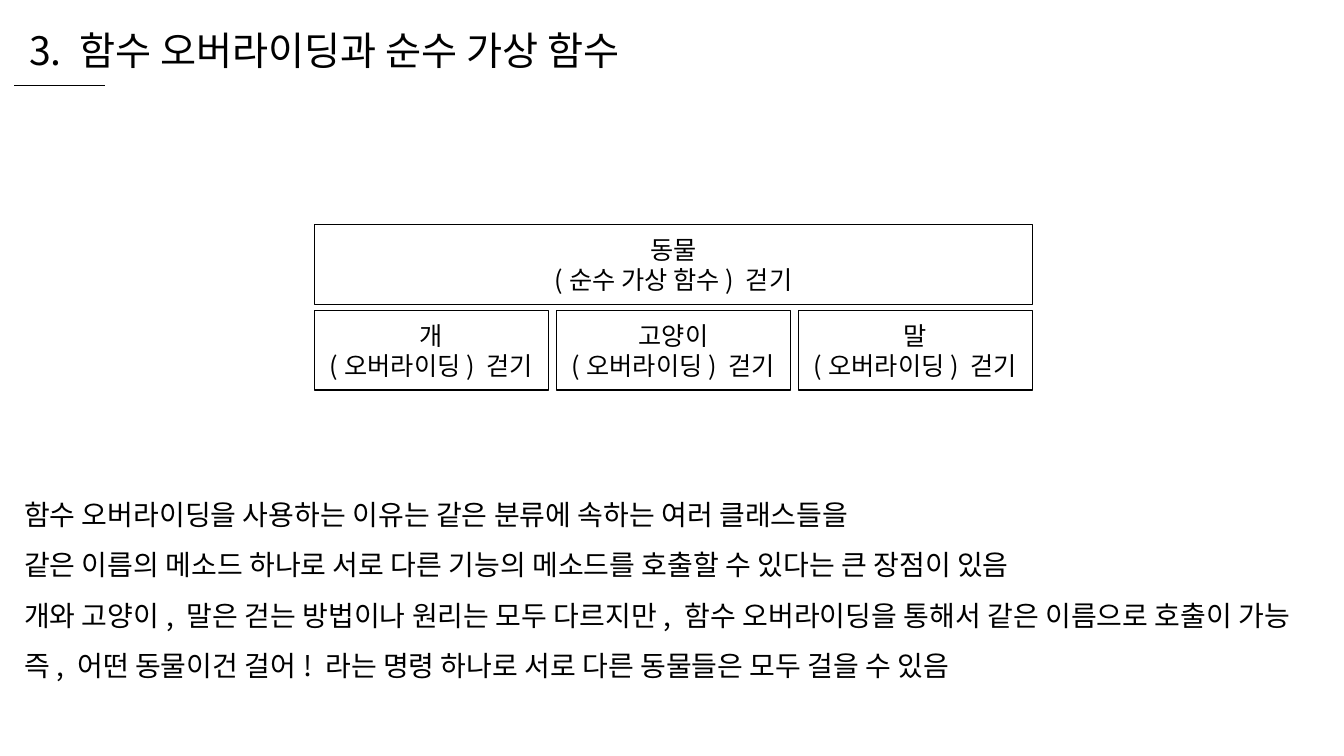
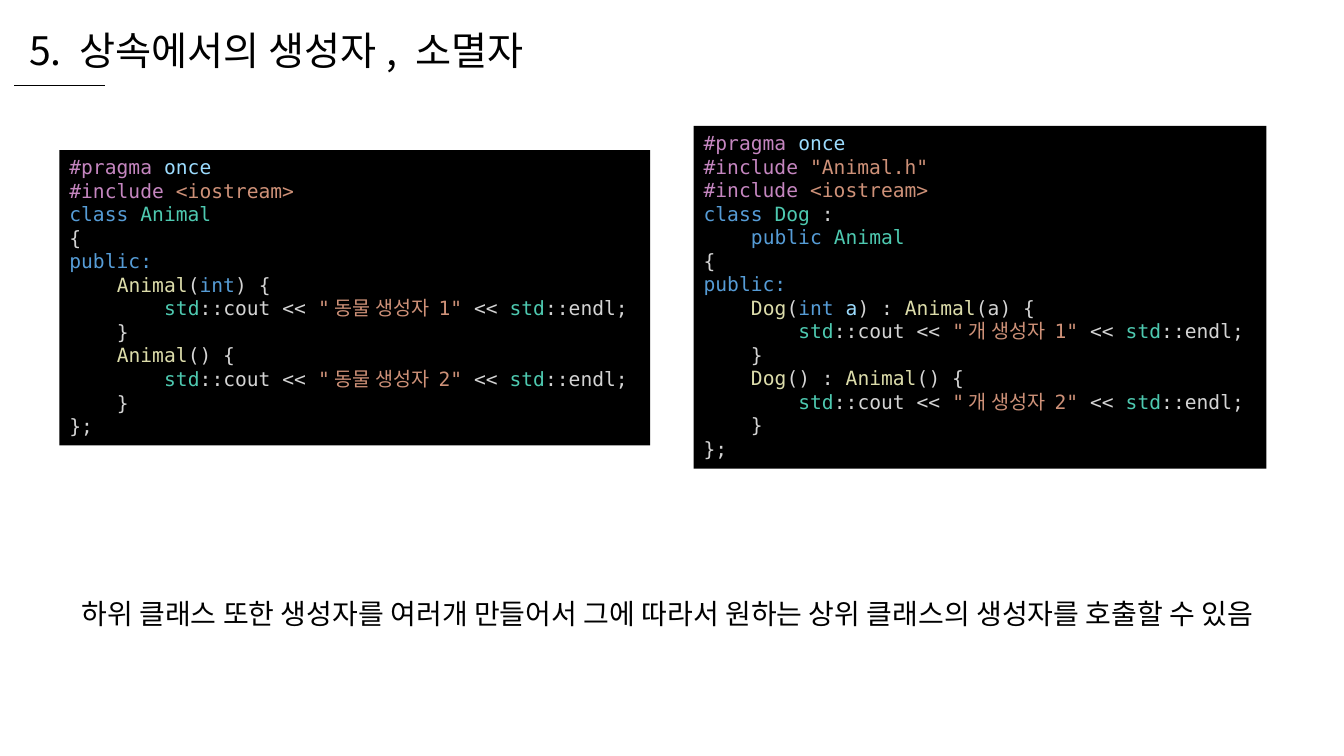
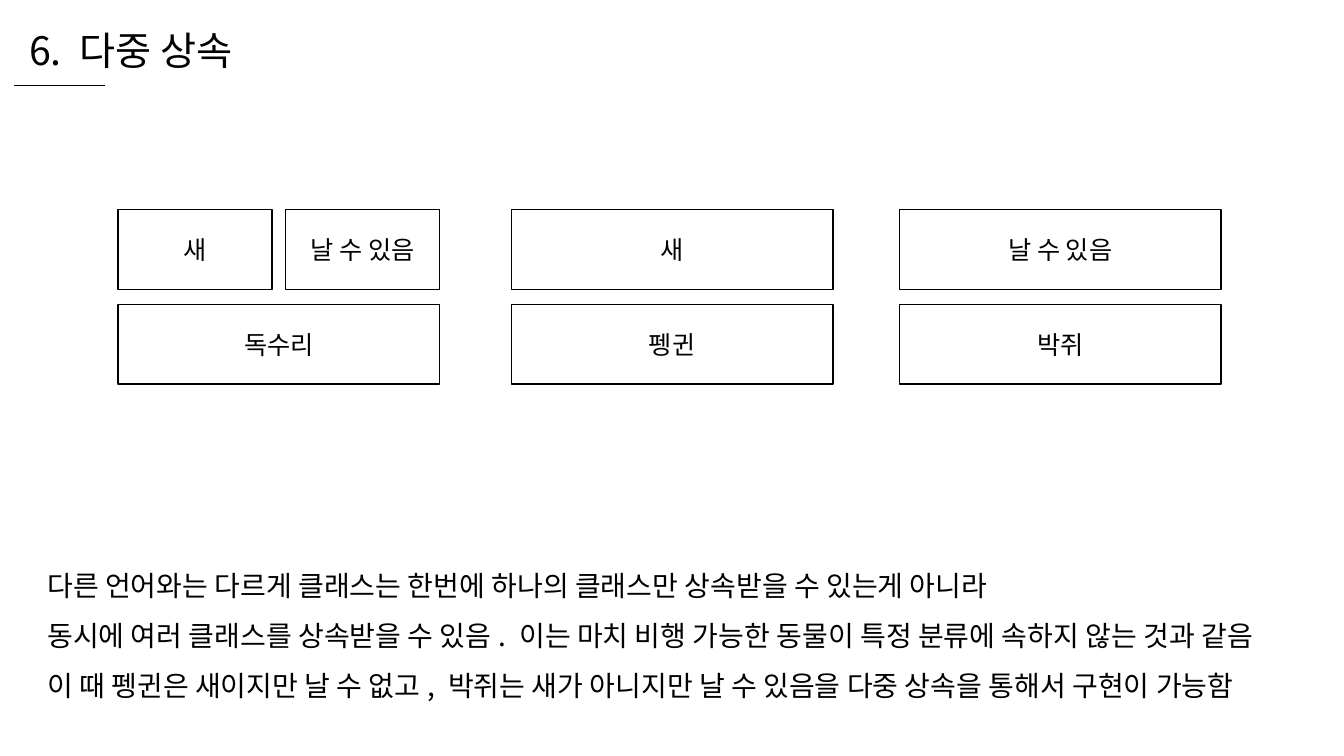
from pptx import Presentation, util as u
from pptx.dml.color import RGBColor
from pptx.enum import shapes as kinds, text as t
from pptx.oxml.ns import qn
from lxml import etree

BLACK, WHITE = RGBColor(0, 0, 0), RGBColor(255, 255, 255)
DIRECTIVE = RGBColor(0xC5, 0x86, 0xC0)
NAME = RGBColor(0x9C, 0xDC, 0xFE)
STRING = RGBColor(0xCE, 0x91, 0x78)
KEYWORD = RGBColor(0x56, 0x9C, 0xD6)
TYPE = RGBColor(0x4E, 0xC9, 0xB0)
CALL = RGBColor(0xDC, 0xDC, 0xAA)
PLAIN = RGBColor(0xD4, 0xD4, 0xD4)

KOREAN, MONO = "Noto Sans CJK KR", "DejaVu Sans Mono"
SLIDE_WIDTH, SLIDE_HEIGHT = 13.33, 7.5
BOX_HEIGHT = 0.79
CODE_INDENT = 0.47  # four characters of 14 point code

OVERRIDING = {
    "title": "3. 함수 오버라이딩과 순수 가상 함수",
    "body": [
        "함수 오버라이딩을 사용하는 이유는 같은 분류에 속하는 여러 클래스들을",
        "같은 이름의 메소드 하나로 서로 다른 기능의 메소드를 호출할 수 있다는 큰 장점이 있음",
        "개와 고양이, 말은 걷는 방법이나 원리는 모두 다르지만, 함수 오버라이딩을 통해서 같은 이름으로 호출이 가능",
        "즉, 어떤 동물이건 걸어! 라는 명령 하나로 서로 다른 동물들은 모두 걸을 수 있음",
    ],
    "body_at": (0.14, 4.72, 13.04, 2.06),
    "tops": (2.23, 3.08), "width": 7.12, "gap": 0.08,
    "families": [(3.12, [
        [["동물", "(순수 가상 함수) 걷기"]],
        [[animal, "(오버라이딩) 걷기"] for animal in ("개", "고양이", "말")],
    ])],
}

CONSTRUCTORS = {
    "title": "5. 상속에서의 생성자, 소멸자",
    "body": ["하위 클래스 또한 생성자를 여러개 만들어서 그에 따라서 원하는 상위 클래스의 생성자를 호출할 수 있음"],
    "body_at": (0.71, 5.7, 12.35, 0.55),
}

MULTIPLE = {
    "title": "6. 다중 상속",
    "body": [
        "다른 언어와는 다르게 클래스는 한번에 하나의 클래스만 상속받을 수 있는게 아니라",
        "동시에 여러 클래스를 상속받을 수 있음. 이는 마치 비행 가능한 동물이 특정 분류에 속하지 않는 것과 같음",
        "이 때 펭귄은 새이지만 날 수 없고, 박쥐는 새가 아니지만 날 수 있음을 다중 상속을 통해서 구현이 가능함",
    ],
    "body_at": (0.37, 5.42, 12.59, 1.56),
    "tops": (2.08, 3.02), "width": 3.19, "gap": 0.13,
    "families": [
        (5.07, [[["새"]], [["펭귄"]]]),
        (1.17, [[["새"], ["날 수 있음"]], [["독수리"]]]),
        (8.92, [[["날 수 있음"]], [["박쥐"]]]),
    ],
}


def include(header):
    return (0, [("#include ", DIRECTIVE), (header, STRING)])


def constructor(signature, animal, number):
    """Code lines of a constructor that prints one message."""
    return [
        (1, signature),
        (2, [("std", TYPE), ("::cout << ", PLAIN),
             (f'"{animal} 생성자 {number}" ', STRING),
             ("<< ", PLAIN), ("std", TYPE), ("::endl;", PLAIN)]),
        (1, [("}", PLAIN)]),
    ]


PRAGMA = (0, [("#pragma ", DIRECTIVE), ("once", NAME)])
OPENING = [(0, [("{", PLAIN)]), (0, [("public:", KEYWORD)])]
CLOSING = (0, [("};", PLAIN)])

ANIMAL_CODE = [
    PRAGMA, include("<iostream>"),
    (0, [("class ", KEYWORD), ("Animal", TYPE)]),
    *OPENING,
    *constructor([("Animal", CALL), ("(", PLAIN), ("int", KEYWORD), (") {", PLAIN)], "동물", 1),
    *constructor([("Animal", CALL), ("() {", PLAIN)], "동물", 2),
    CLOSING,
]
DOG_CODE = [
    PRAGMA, include('"Animal.h"'), include("<iostream>"),
    (0, [("class ", KEYWORD), ("Dog", TYPE), (" : ", PLAIN)]),
    (1, [("public ", KEYWORD), ("Animal", TYPE)]),
    *OPENING,
    *constructor([("Dog", CALL), ("(", PLAIN), ("int ", KEYWORD), ("a", NAME),
                  (") : ", PLAIN), ("Animal", CALL), ("(a) {", PLAIN)], "개", 1),
    *constructor([("Dog", CALL), ("() : ", PLAIN), ("Animal", CALL), ("() {", PLAIN)], "개", 2),
    CLOSING,
]
CODE_PANELS = [((0.59, 1.49, 5.86, 2.93), ANIMAL_CODE),
               ((6.88, 1.25, 5.68, 3.4), DOG_CODE)]


def write(box, lines, size, font=KOREAN, align=t.PP_ALIGN.LEFT, spacing=None,
          anchor=t.MSO_ANCHOR.TOP, wrap=True, grow=False):
    """Fill a box with (indent level, [(text, colour), ...]) lines."""
    frame = box.text_frame
    frame.word_wrap = wrap
    frame.vertical_anchor = anchor
    frame.auto_size = t.MSO_AUTO_SIZE.SHAPE_TO_FIT_TEXT if grow else t.MSO_AUTO_SIZE.NONE
    for index, (level, spans) in enumerate(lines):
        para = frame.add_paragraph() if index else frame.paragraphs[0]
        para.alignment = align
        para.line_spacing = spacing
        if level:
            para._p.get_or_add_pPr().set("marL", str(u.Inches(level * CODE_INDENT)))
        for content, colour in spans:
            span = para.add_run()
            span.text = content
            span.font.size = u.Pt(size)
            span.font.name = font
            span.font.color.rgb = colour
            east_asian = etree.SubElement(span.font._element, qn("a:ea"))
            east_asian.set("typeface", KOREAN)


def black_lines(lines):
    return [(0, [(line, BLACK)]) for line in lines]


def add_text(slide, at, lines, size, spacing=None):
    box = slide.shapes.add_textbox(*map(u.Inches, at))
    write(box, black_lines(lines), size, spacing=spacing, wrap=False, grow=True)


def add_rectangle(shapes, at, fill, line=None):
    box = shapes.add_shape(kinds.MSO_SHAPE.RECTANGLE, *map(u.Inches, at))
    box.shadow.inherit = False
    box.fill.solid()
    box.fill.fore_color.rgb = fill
    if line is None:
        box.line.fill.background()
    else:
        box.line.color.rgb = line
        box.line.width = u.Pt(1)
    return box


def add_family(slide, left, rows, tops, width, gap):
    """Group rows of class boxes, each row sharing the same total width."""
    group = slide.shapes.add_group_shape()
    for top, row in zip(tops, rows):
        box_width = (width - gap * (len(row) - 1)) / len(row)
        for column, lines in enumerate(row):
            at = (left + column * (box_width + gap), top, box_width, BOX_HEIGHT)
            box = add_rectangle(group.shapes, at, WHITE, BLACK)
            write(box, black_lines(lines), 18, align=t.PP_ALIGN.CENTER,
                  anchor=t.MSO_ANCHOR.MIDDLE)


def add_page(deck, content):
    """Add a slide with its title, short rule, body text and class boxes."""
    slide = deck.slides.add_slide(deck.slide_layouts[6])
    add_text(slide, (0.19, 0.21, 6.4, 0.57), [content["title"]], 28)
    rule = slide.shapes.add_connector(
        kinds.MSO_CONNECTOR.STRAIGHT, *map(u.Inches, (0.14, 0.85, 1.04, 0.85)))
    rule.line.color.rgb = BLACK
    rule.line.width = u.Pt(0.5)
    etree.SubElement(rule._element.spPr, qn("a:effectLst"))
    add_text(slide, content["body_at"], content["body"], 20, spacing=1.5)
    for left, rows in content.get("families", []):
        add_family(slide, left, rows, content["tops"], content["width"], content["gap"])
    return slide


def main():
    deck = Presentation()
    deck.slide_width, deck.slide_height = u.Inches(SLIDE_WIDTH), u.Inches(SLIDE_HEIGHT)
    add_page(deck, OVERRIDING)
    code_slide = add_page(deck, CONSTRUCTORS)
    for at, code in CODE_PANELS:
        panel = add_rectangle(code_slide.shapes, at, BLACK)
        write(panel, code, 14, font=MONO, grow=True)
    add_page(deck, MULTIPLE)
    deck.save("out.pptx")


if __name__ == "__main__":
    main()
